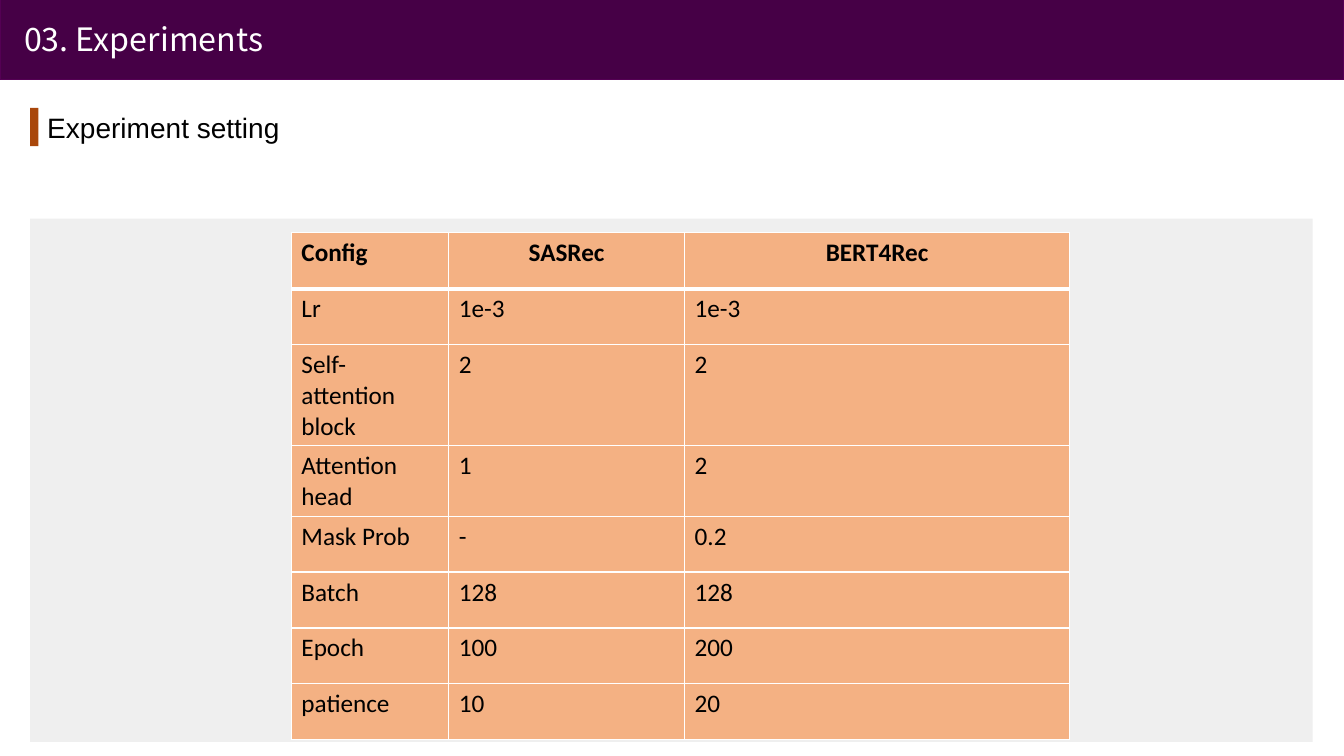
from lxml.etree import SubElement
from pptx import Presentation
from pptx.dml.color import RGBColor
from pptx.enum.shapes import MSO_SHAPE
from pptx.enum.text import MSO_ANCHOR, PP_ALIGN
from pptx.oxml.ns import qn
from pptx.util import Inches, Pt

PURPLE = RGBColor(0x46, 0x00, 0x46)
PURPLE_EDGE = RGBColor(0x54, 0x00, 0x54)
RUST = RGBColor(0xA9, 0x47, 0x0B)
PANEL_GREY = RGBColor(0xEE, 0xEE, 0xEE)
PEACH = RGBColor(0xF4, 0xB1, 0x83)
WHITE = RGBColor(0xFF, 0xFF, 0xFF)
BLACK = RGBColor(0x00, 0x00, 0x00)

SETTINGS = [
    ("Config", "SASRec", "BERT4Rec"),
    ("Lr", "1e-3", "1e-3"),
    ("Self-attention block", "2", "2"),
    ("Attention head", "1", "2"),
    ("Mask Prob", "-", "0.2"),
    ("Batch", "128", "128"),
    ("Epoch", "100", "200"),
    ("patience", "10", "20"),
]
COLUMN_WIDTHS = (1.56, 2.34, 3.82)
ROW_HEIGHT = 0.555
TALL_ROWS = {2: 1.0, 3: 0.7}


def write_text(frame, text, *, size, font, color=BLACK, bold=False, align=PP_ALIGN.LEFT):
    paragraph = frame.paragraphs[0]
    paragraph.alignment = align
    run = paragraph.add_run()
    run.text = text
    run.font.size = Pt(size)
    run.font.name = font
    run.font.bold = bold
    run.font.color.rgb = color


def add_label(slide, left, top, width, height, text, **text_format):
    frame = slide.shapes.add_textbox(*map(Inches, (left, top, width, height))).text_frame
    frame.word_wrap = True
    frame.vertical_anchor = MSO_ANCHOR.MIDDLE
    write_text(frame, text, **text_format)


def add_block(slide, left, top, width, height, color, edge=None):
    block = slide.shapes.add_shape(
        MSO_SHAPE.RECTANGLE, *map(Inches, (left, top, width, height)))
    block.shadow.inherit = False
    block.fill.solid()
    block.fill.fore_color.rgb = color
    if edge is None:
        block.line.fill.background()
    else:
        block.line.color.rgb = edge
        block.line.width = Pt(1)
    return block


def set_borders(cell, bottom, top):
    """Draw white borders, one point wide at the sides."""
    properties = cell._tc.get_or_add_tcPr()
    for side, points in (("L", 1), ("R", 1), ("T", top), ("B", bottom)):
        border = SubElement(properties, qn(f"a:ln{side}"), w=str(Pt(points)))
        fill = SubElement(border, qn("a:solidFill"))
        SubElement(fill, qn("a:srgbClr"), val=str(WHITE))


def add_title_bar(slide, left, top, width, height):
    add_block(slide, left, top, width, height, PURPLE, edge=PURPLE_EDGE)
    add_label(slide, left + 0.14, top + 0.15, 6.62, 0.49, "03. Experiments",
              size=23, font="Noto Sans CJK KR", color=WHITE)


def add_section_heading(slide, left, top, width, height):
    add_block(slide, left, top + 0.03, 0.08, 0.38, RUST)
    add_label(slide, left + 0.07, top, width - 0.07, height, "Experiment setting",
              size=20, font="Arial")


def add_settings_panel(slide, left, top, width, height):
    panel = add_block(slide, left, top, width, height, PANEL_GREY)
    panel_color = panel.fill._xPr.find(qn("a:solidFill"))[0]
    SubElement(panel_color, qn("a:alpha"), val="91000")

    row_heights = [TALL_ROWS.get(row, ROW_HEIGHT) for row in range(len(SETTINGS))]
    table = slide.shapes.add_table(
        len(SETTINGS), len(COLUMN_WIDTHS), Inches(left + 2.59), Inches(top + 0.14),
        Inches(sum(COLUMN_WIDTHS)), Inches(sum(row_heights))).table
    table.horz_banding = False
    for column, column_width in zip(table.columns, COLUMN_WIDTHS):
        column.width = Inches(column_width)
    for row, row_height in zip(table.rows, row_heights):
        row.height = Inches(row_height)

    for row, setting in enumerate(SETTINGS):
        header = row == 0
        for column, value in enumerate(setting):
            cell = table.cell(row, column)
            set_borders(cell, bottom=3 if header else 1, top=3 if row == 1 else 1)
            cell.fill.solid()
            cell.fill.fore_color.rgb = PEACH
            centred = header and column > 0
            write_text(cell.text_frame, value, size=18, font="Calibri", bold=header,
                       align=PP_ALIGN.CENTER if centred else PP_ALIGN.LEFT)


def main():
    presentation = Presentation()
    presentation.slide_width = Inches(13.33)
    presentation.slide_height = Inches(7.5)
    slide = presentation.slides.add_slide(presentation.slide_layouts[6])
    add_title_bar(slide, 0, -0.01, 13.33, 0.8)
    add_section_heading(slide, 0.3, 1.04, 9.82, 0.44)
    add_settings_panel(slide, 0.3, 2.17, 12.72, 5.19)
    presentation.save("out.pptx")


if __name__ == "__main__":
    main()
